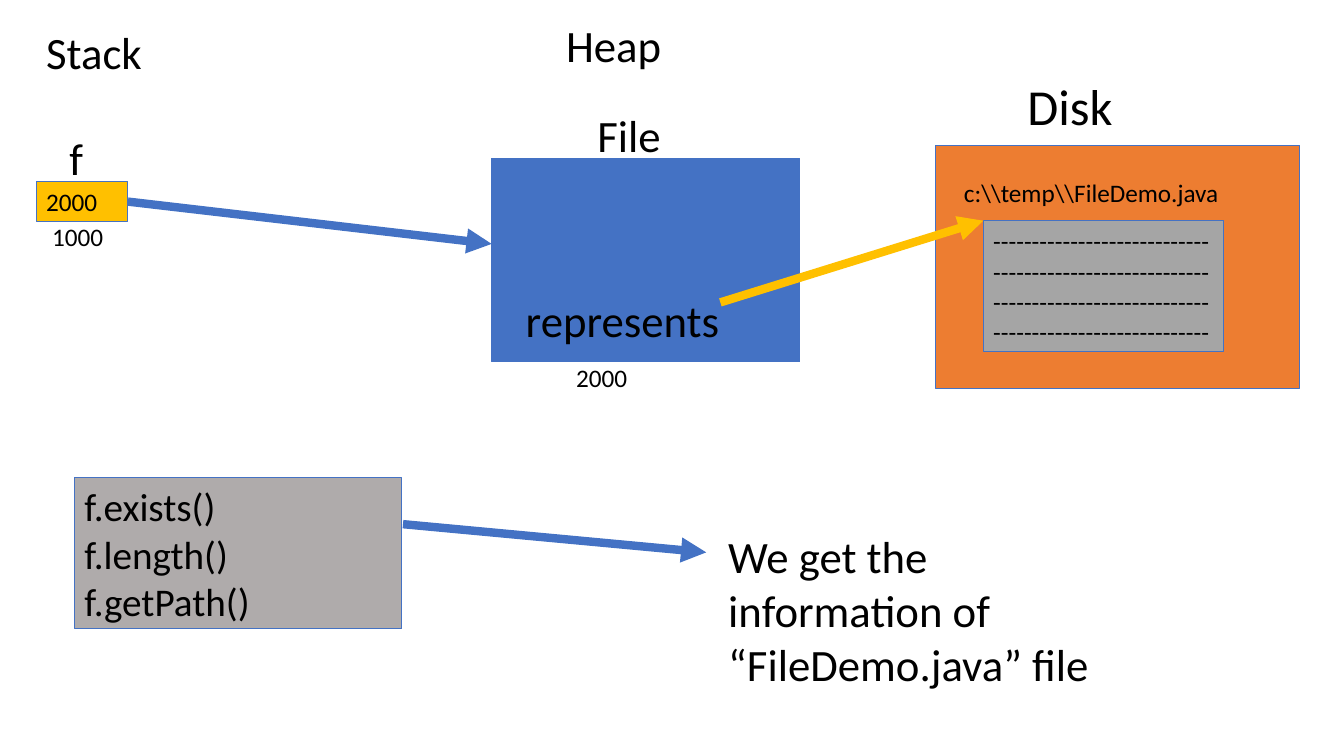
from dataclasses import dataclass

from lxml import etree
from pptx import Presentation
from pptx.dml.color import RGBColor
from pptx.enum.shapes import MSO_CONNECTOR, MSO_SHAPE
from pptx.enum.text import MSO_ANCHOR, MSO_AUTO_SIZE, PP_ALIGN
from pptx.oxml.ns import qn
from pptx.util import Inches, Pt

RECTANGLE = MSO_SHAPE.RECTANGLE
STRAIGHT = MSO_CONNECTOR.STRAIGHT
TOP = MSO_ANCHOR.TOP
LEFT = PP_ALIGN.LEFT
GROW = MSO_AUTO_SIZE.SHAPE_TO_FIT_TEXT
RIGHT_SIDE = 3


@dataclass(frozen=True)
class Theme:
    font: str = "Calibri"
    text: str = "000000"
    blue: str = "4472C4"
    orange: str = "ED7D31"
    gold: str = "FFC000"
    gray: str = "A5A5A5"
    warm_gray: str = "AFABAB"
    small: int = 18
    code: int = 28
    label: int = 32
    title: int = 36
    outline: float = 0.75
    arrow: float = 6


THEME = Theme()


@dataclass(frozen=True)
class Box:
    left: float
    top: float
    width: float
    height: float
    lines: tuple[str, ...] = ()
    size: int = THEME.small
    fill: str = ""


@dataclass(frozen=True)
class Arrow:
    start: tuple[float, float]
    end: tuple[float, float]
    color: str
    source: Box | None = None


REFERENCE = Box(0.36, 1.8, 0.91, 0.4, ("2000",), THEME.small, THEME.gold)
ITEMS = (
    Box(9.29, 1.44, 3.61, 2.41, fill=THEME.orange),
    Box(10.1, 0.7, 1.7, 0.7, ("Disk",), THEME.title),
    Box(9.76, 2.19, 2.38, 1.3, ("-" * 28 * 4,), THEME.small, THEME.gray),
    Box(9.47, 1.71, 3.03, 0.4, (r"c:\\temp\\FileDemo.java",)),
    Box(5.52, 0.13, 1.49, 0.64, ("Heap",), THEME.label),
    Box(4.88, 1.57, 3.06, 2.02, fill=THEME.blue),
    Box(5.83, 1.02, 1.08, 0.64, ("File",), THEME.label),
    Arrow((7.15, 3), (9.76, 2.19), THEME.gold),
    Box(5.12, 2.85, 2.26, 0.64, ("represents",), THEME.label),
    Box(5.62, 3.55, 1.3, 0.4, ("2000",)),
    Box(0.36, 0.2, 1.86, 0.64, ("Stack",), THEME.label),
    REFERENCE,
    Box(0.59, 1.25, 0.51, 0.64, ("f",), THEME.label),
    Box(0.42, 2.15, 0.78, 0.4, ("1000",)),
    Arrow((1.27, 2), (4.88, 2.42), THEME.blue, REFERENCE),
    Box(0.74, 4.74, 3.25, 1.5, ("f.exists()", "f.length()", "f.getPath()"),
        THEME.code, THEME.warm_gray),
    Arrow((4, 5.2), (7.01, 5.48), THEME.blue),
    Box(7.13, 5.2, 3.82, 1.7, ("We get the information of “FileDemo.java” file",), THEME.label),
)


def rgb(value: str) -> RGBColor:
    return RGBColor.from_string(value)


def apply(target, values: dict) -> None:
    for key, value in values.items():
        setattr(target, key, value)


def write_text(sp, box: Box) -> None:
    tf = sp.text_frame
    apply(tf, {
        "word_wrap": True, "auto_size": GROW, "vertical_anchor": TOP,
        "margin_left": Inches(0.1), "margin_right": Inches(0.1),
        "margin_top": Inches(0.05), "margin_bottom": Inches(0.05),
    })
    tf.text = "\n".join(box.lines)
    for p in tf.paragraphs:
        p.alignment = LEFT
        for r in p.runs:
            apply(r.font, {"name": THEME.font, "size": Pt(box.size)})
            r.font.color.rgb = rgb(THEME.text)


def draw_box(s, box: Box):
    frame = [Inches(v) for v in (box.left, box.top, box.width, box.height)]
    if box.fill:
        sp = s.shapes.add_shape(RECTANGLE, *frame)
        sp.shadow.inherit = False
        sp.fill.solid()
        sp.fill.fore_color.rgb = rgb(box.fill)
        sp.line.color.rgb = rgb(THEME.blue)
        sp.line.width = Pt(THEME.outline)
    else:
        sp = s.shapes.add_textbox(*frame)
    if box.lines:
        write_text(sp, box)
    return sp


def draw_arrow(s, arrow: Arrow, drawn: dict) -> None:
    ends = [Inches(v) for v in arrow.start + arrow.end]
    line = s.shapes.add_connector(STRAIGHT, *ends)
    if arrow.source:
        line.begin_connect(drawn[arrow.source], RIGHT_SIDE)
    line.line.color.rgb = rgb(arrow.color)
    line.line.width = Pt(THEME.arrow)
    etree.SubElement(line.line._get_or_add_ln(), qn("a:tailEnd"), type="triangle")
    etree.SubElement(line._element.spPr, qn("a:effectLst"))


def main() -> None:
    prs = Presentation()
    prs.slide_width, prs.slide_height = Inches(13.34), Inches(7.5)
    s = prs.slides.add_slide(prs.slide_layouts[6])
    drawn = {}
    for item in ITEMS:
        if isinstance(item, Arrow):
            draw_arrow(s, item, drawn)
        else:
            drawn[item] = draw_box(s, item)
    prs.save("out.pptx")


if __name__ == "__main__":
    main()
